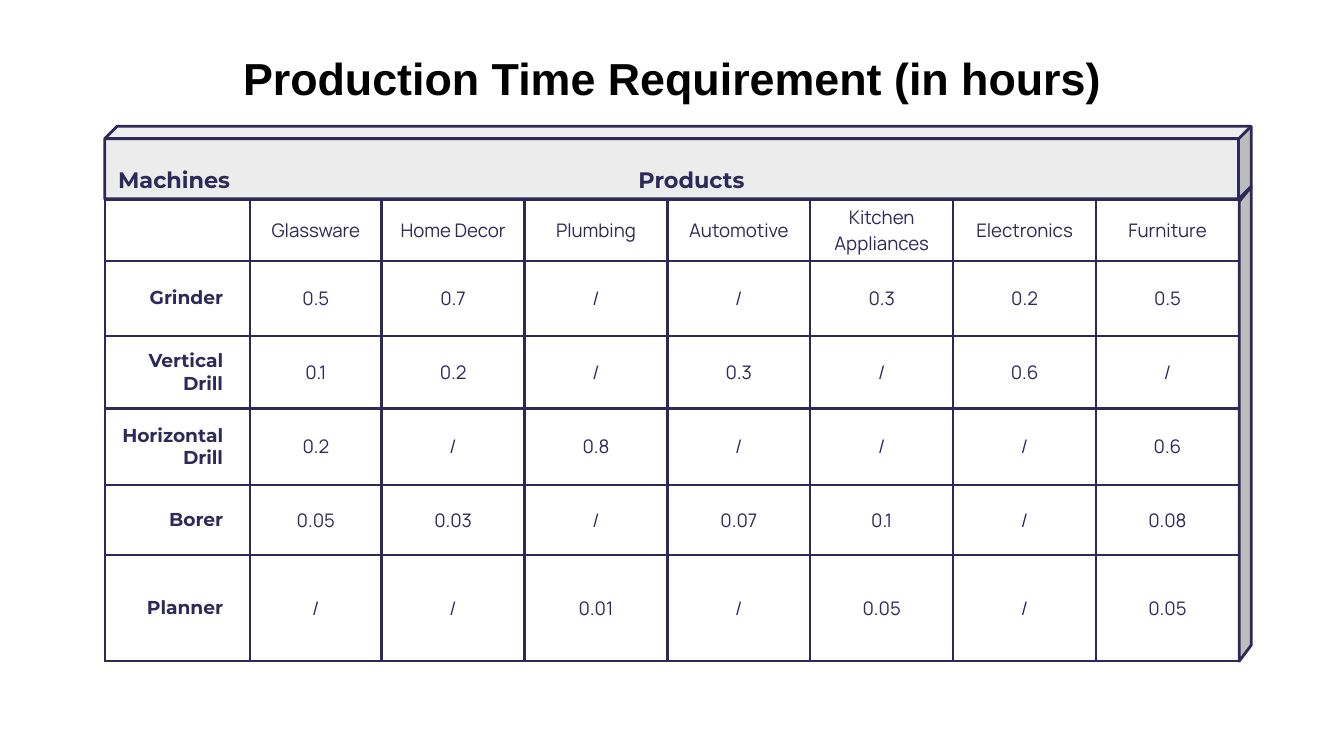
from dataclasses import dataclass

from lxml import etree
from pptx import Presentation
from pptx import util as u
from pptx.dml.color import RGBColor
from pptx.enum import shapes, text
from pptx.oxml import ns

COLORS = {"ink": "2D2958", "title": "000000", "front": "ECECEC", "side": "BEBEBE"}
LINE_WIDTH = u.Pt(1.5)
LEFT, RIGHT, TABLE_TOP = 0.78, 9.22, 1.49
FIRST_WIDTHS = [1.08, 0.98]
COLUMN_WIDTHS = FIRST_WIDTHS + [(RIGHT - LEFT - sum(FIRST_WIDTHS)) / 6] * 6
ROW_HEIGHTS = [0.45, 0.56, 0.54, 0.57, 0.52, 0.79]
ROWS = [
    ["", "Glassware", "Home Decor", "Plumbing", "Automotive",
     "Kitchen Appliances", "Electronics", "Furniture"],
    ["Grinder", "0.5", "0.7", "/", "/", "0.3", "0.2", "0.5"],
    ["Vertical Drill", "0.1", "0.2", "/", "0.3", "/", "0.6", "/"],
    ["Horizontal Drill", "0.2", "/", "0.8", "/", "/", "/", "0.6"],
    ["Borer", "0.05", "0.03", "/", "0.07", "0.1", "/", "0.08"],
    ["Planner", "/", "/", "0.01", "/", "0.05", "/", "0.05"],
]


@dataclass(frozen=True)
class Label:
    words: str
    left: float
    top: float
    width: float
    height: float
    size: int = 12
    font: str = "Montserrat"
    color: str = "ink"
    align: text.PP_ALIGN = text.PP_ALIGN.CENTER
    anchor: text.MSO_ANCHOR = text.MSO_ANCHOR.MIDDLE


LABELS = [
    Label("Production Time Requirement (in hours)", 0.5, 0.28, 9, 0.53, 24,
          "Arial", "title", anchor=text.MSO_ANCHOR.TOP),
    Label("Machines", LEFT, 1.19, 1.81, 0.29, align=text.PP_ALIGN.LEFT),
    Label("Products", 2.49, 1.19, 5.31, 0.29),
]


def rgb(name: str) -> RGBColor:
    return RGBColor.from_string(COLORS[name])


def style_paragraph(para, size: int, font: str, color: str, bold: bool, align) -> None:
    para.alignment = align
    para.font.size = u.Pt(size)
    para.font.name = font
    para.font.bold = bold
    para.font.color.rgb = rgb(color)


def add_label(page, label: Label) -> None:
    box = page.shapes.add_textbox(u.Inches(label.left), u.Inches(label.top),
                                  u.Inches(label.width), u.Inches(label.height))
    frame = box.text_frame
    frame.word_wrap = True
    frame.vertical_anchor = label.anchor
    frame.margin_left = frame.margin_right = u.Inches(0.1)
    frame.margin_top = frame.margin_bottom = u.Inches(0.1)
    para = frame.paragraphs[0]
    para.text = label.words
    style_paragraph(para, label.size, label.font, label.color, True, label.align)


def paint(shape, fill: str) -> None:
    shape.shadow.inherit = False
    shape.fill.solid()
    shape.fill.fore_color.rgb = rgb(fill)
    shape.line.color.rgb = rgb("ink")
    shape.line.width = LINE_WIDTH


def add_borders(cell) -> None:
    properties = cell._tc.get_or_add_tcPr()
    for position, edge in enumerate(("lnL", "lnR", "lnT", "lnB")):
        line = etree.Element(ns.qn(f"a:{edge}"), w=str(LINE_WIDTH))
        fill = etree.SubElement(line, ns.qn("a:solidFill"))
        etree.SubElement(fill, ns.qn("a:srgbClr"), val=COLORS["ink"])
        properties.insert(position, line)


def fill_cell(cell, words: str, is_machine: bool) -> None:
    cell.fill.background()
    cell.vertical_anchor = text.MSO_ANCHOR.MIDDLE
    cell.margin_left = cell.margin_top = cell.margin_bottom = 0
    cell.margin_right = u.Inches(0.1 if is_machine else 0)
    para = cell.text_frame.paragraphs[0]
    para.text = words
    font = "Montserrat" if is_machine else "Manrope"
    align = text.PP_ALIGN.RIGHT if is_machine else text.PP_ALIGN.CENTER
    style_paragraph(para, 10, font, "ink", is_machine, align)
    indent = para._p.get_or_add_pPr()
    for side in ("marL", "marR"):
        indent.set(side, str(u.Inches(0.1)))
    indent.set("indent", "0")
    add_borders(cell)


def add_hours_table(page) -> None:
    table = page.shapes.add_table(
        len(ROWS), len(COLUMN_WIDTHS), u.Inches(LEFT), u.Inches(TABLE_TOP),
        u.Inches(RIGHT - LEFT), u.Inches(sum(ROW_HEIGHTS))).table
    table.first_row = table.horz_banding = False
    for column, width in zip(table.columns, COLUMN_WIDTHS):
        column.width = u.Inches(width)
    for row, height, entries in zip(table.rows, ROW_HEIGHTS, ROWS):
        row.height = u.Inches(height)
        for index, (cell, words) in enumerate(zip(row.cells, entries)):
            fill_cell(cell, words, index == 0)


def add_header_block(page) -> None:
    block = page.shapes.add_shape(shapes.MSO_SHAPE.CUBE, u.Inches(LEFT), u.Inches(0.94),
                                  u.Inches(8.53), u.Inches(0.54))
    block.adjustments[0] = 0.17
    paint(block, "front")


def add_table_side(page) -> None:
    start, *rest = [(u.Inches(x), u.Inches(y)) for x, y in
                    ((RIGHT, 1.5), (9.31, 1.39), (9.31, 4.8), (RIGHT, 4.92))]
    builder = page.shapes.build_freeform(*start)
    builder.add_line_segments(rest, close=True)
    paint(builder.convert_to_shape(), "side")


def main() -> None:
    deck = Presentation()
    deck.slide_width = u.Inches(10)
    deck.slide_height = deck.slide_width * 9 // 16
    page = deck.slides.add_slide(deck.slide_layouts[6])
    add_hours_table(page)
    add_header_block(page)
    add_table_side(page)
    for label in LABELS:
        add_label(page, label)
    deck.save("out.pptx")


if __name__ == "__main__":
    main()
